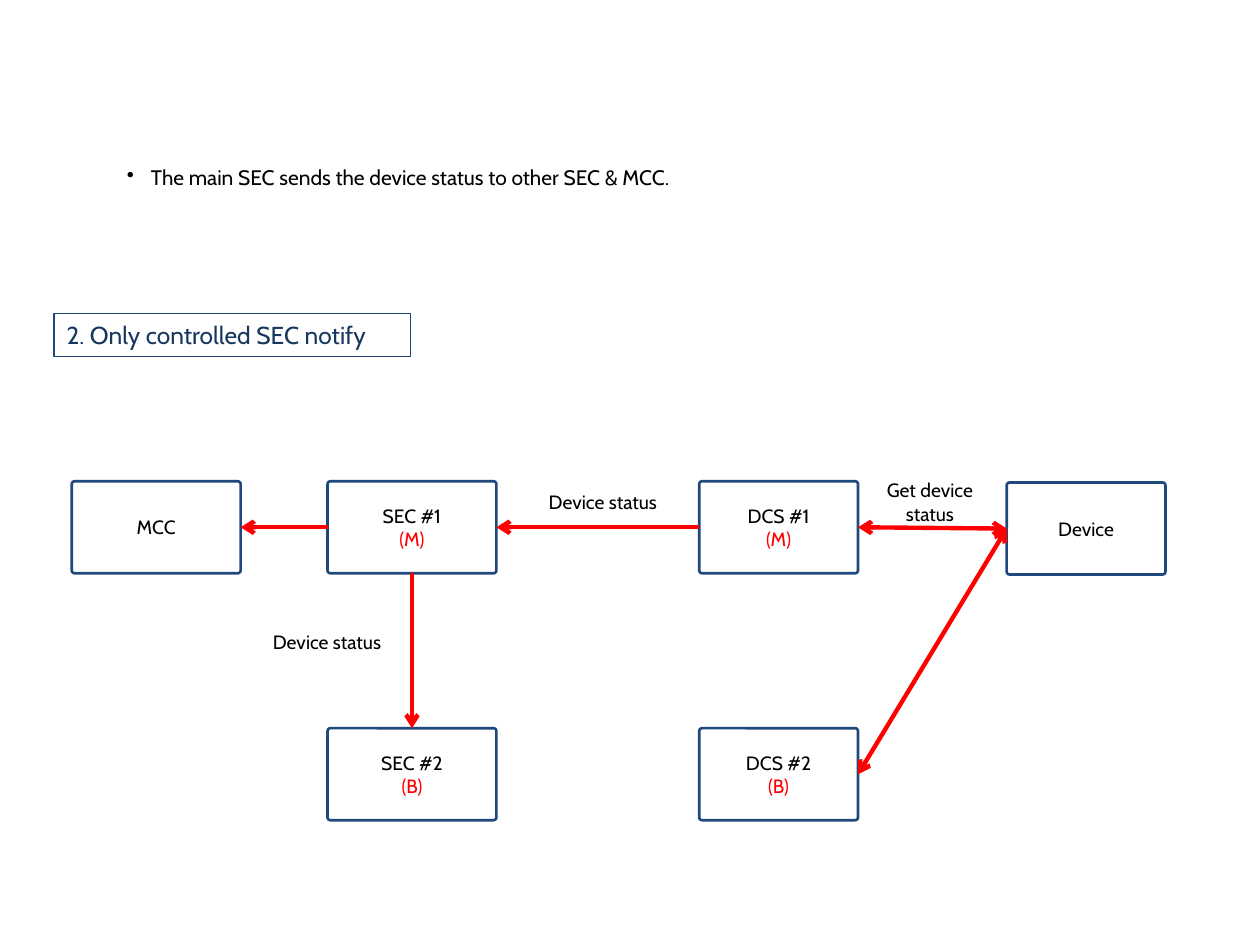
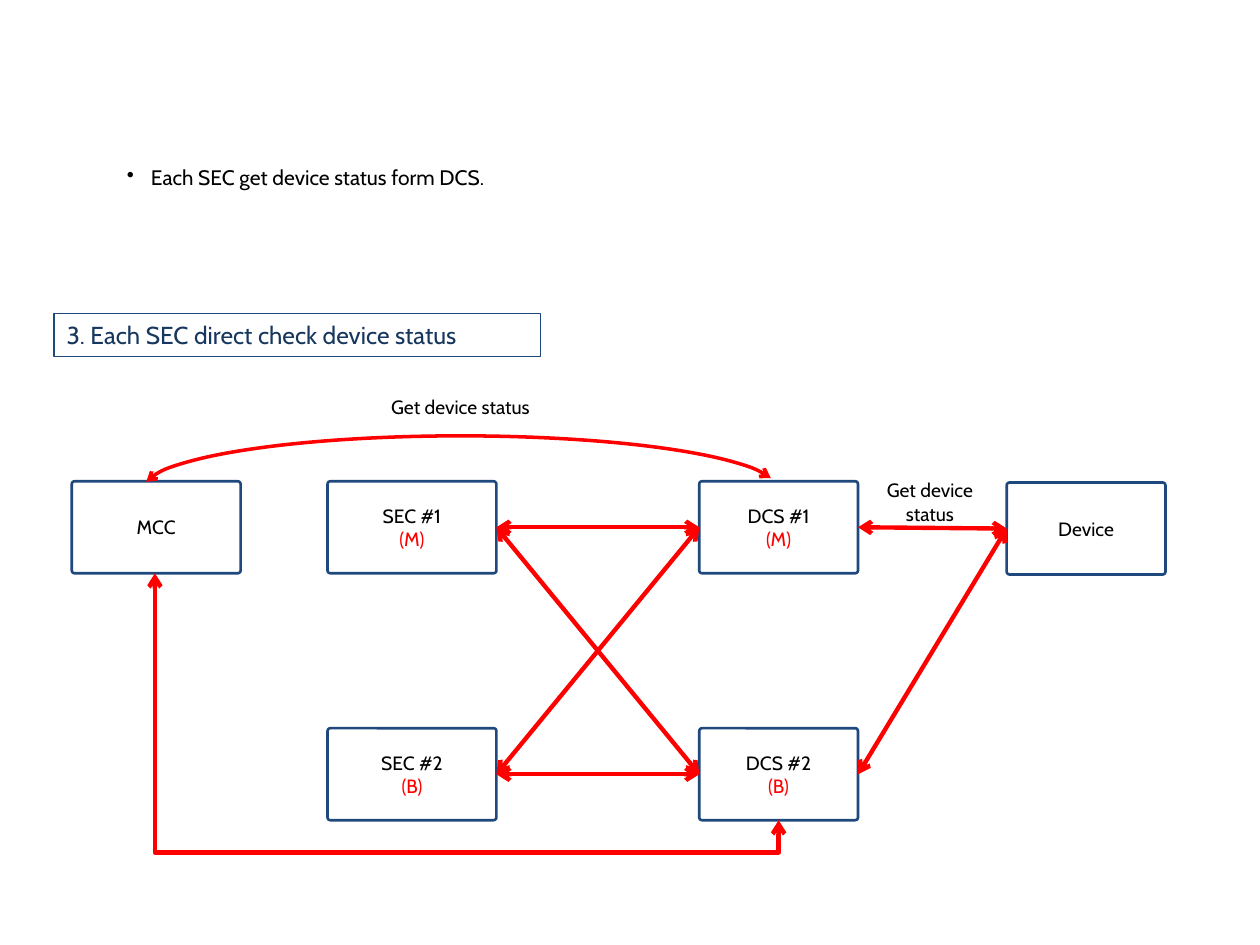
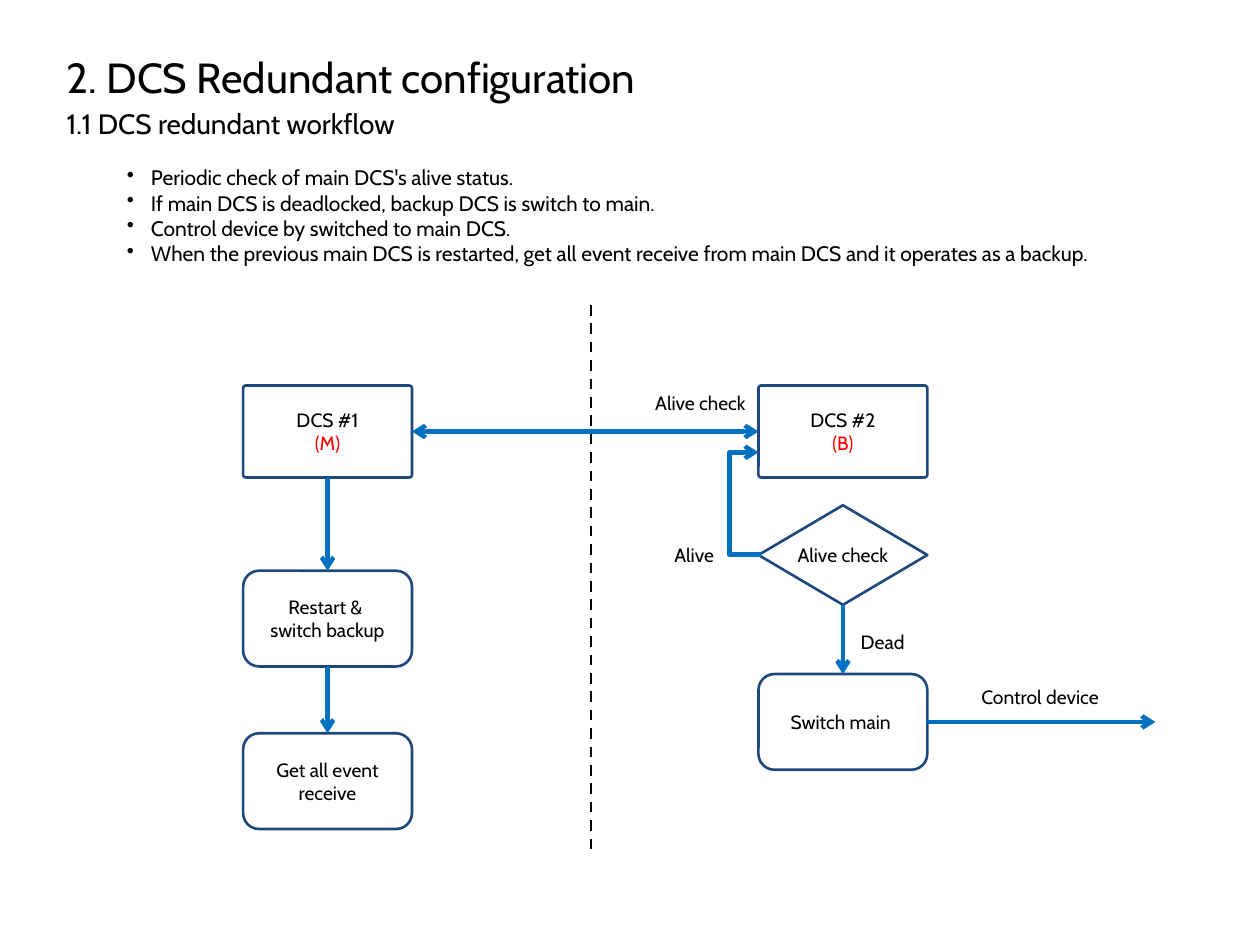
from dataclasses import dataclass
from math import cos, radians, sin

from lxml.etree import SubElement
from pptx import Presentation
from pptx.dml.color import RGBColor
from pptx.enum.dml import MSO_LINE_DASH_STYLE as Dash
from pptx.enum.shapes import MSO_CONNECTOR as Link, MSO_SHAPE as Shape
from pptx.enum.text import MSO_ANCHOR as Anchor, MSO_AUTO_SIZE as AutoSize, PP_ALIGN as Align
from pptx.oxml.ns import qn
from pptx.util import Inches, Pt

TOP, LEFT, BOTTOM, RIGHT = range(4)


@dataclass(frozen=True)
class Theme:
    font: str = "Cabin"
    ink: str = "000000"
    paper: str = "FFFFFF"
    frame: str = "1F497D"
    tag: str = "17375E"
    alert: str = "FF0000"
    flow: str = "0070C0"
    title: int = 24
    subtitle: int = 16
    heading: int = 14
    body: int = 12
    label: int = 11
    frame_line: float = 1.5
    tag_line: float = 0.75
    arc_line: float = 2
    arrow_line: float = 2.5


THEME = Theme()


@dataclass(frozen=True)
class Box:
    left: float
    top: float
    width: float
    height: float

    def inner(self, dx, dy, width, height):
        return Box(self.left + dx, self.top + dy, width, height)

    def point(self, dx, dy):
        return self.left + dx, self.top + dy

    def lengths(self):
        return [Inches(v) for v in (self.left, self.top, self.width, self.height)]


TITLE = Box(0.43, 0.36, 9.06, 0.5)
SUBTITLE = Box(0.43, 0.8, 9.06, 0.37)
NOTES = Box(0.91, 1.26, 8.34, 0.3)
NETWORK = Box(0.57, 3.82, 8.68, 2.69)
WORKFLOW = Box(1.93, 2.41, 7.24, 4.33)


def rgb(value):
    return RGBColor.from_string(value)


def write(shape, text, size=THEME.label, color=THEME.ink, align=Align.LEFT,
          anchor=Anchor.TOP, wrap=True, grow=False, bullet=None):
    frame = shape.text_frame
    frame.word_wrap = wrap
    frame.vertical_anchor = anchor
    if grow:
        frame.auto_size = AutoSize.SHAPE_TO_FIT_TEXT
    for index, line in enumerate(text.split("\n")):
        paragraph = frame.paragraphs[0] if index == 0 else frame.add_paragraph()
        paragraph.alignment = align
        run = paragraph.add_run()
        run.text = line
        run.font.name = THEME.font
        run.font.size = Pt(size)
        run.font.color.rgb = rgb(THEME.alert if line.startswith("(") else color)
        if bullet:
            properties = paragraph._p.get_or_add_pPr()
            properties.set("marL", str(Inches(0.19)))
            properties.set("indent", str(Inches(-0.19)))
            SubElement(properties, qn("a:buChar"), char=bullet)


def add_text(slide, box, text, **style):
    write(slide.shapes.add_textbox(*box.lengths()), text, grow=True, **style)


def add_label(slide, box, text):
    add_text(slide, box, text, align=Align.CENTER, wrap=False)


def add_outline(slide, box, kind, color=THEME.frame, width=THEME.frame_line, fill=None):
    outline = slide.shapes.add_shape(kind, *box.lengths())
    outline.shadow.inherit = False
    if fill:
        outline.fill.solid()
        outline.fill.fore_color.rgb = rgb(fill)
    else:
        outline.fill.background()
    outline.line.color.rgb = rgb(color)
    outline.line.width = Pt(width)
    return outline


def add_node(slide, box, text, kind=Shape.ROUNDED_RECTANGLE, corner=None):
    node = add_outline(slide, box, kind, fill=THEME.paper)
    if corner is not None:
        node.adjustments[0] = corner
    write(node, text, align=Align.CENTER, anchor=Anchor.MIDDLE, wrap=False)
    return node


def add_server(slide, box, text):
    return add_node(slide, box, text, corner=0.03)


def add_arrowheads(line_shape, both):
    outline = line_shape.element.spPr.find(qn("a:ln"))
    for end in ("headEnd", "tailEnd") if both else ("tailEnd",):
        SubElement(outline, qn(f"a:{end}"), type="arrow")


def add_line(slide, start, end, color, width=THEME.arrow_line, kind=Link.STRAIGHT):
    line = slide.shapes.add_connector(kind, *[Inches(v) for v in (*start, *end)])
    line.line.color.rgb = rgb(color)
    line.line.width = Pt(width)
    SubElement(line.element.spPr, qn("a:effectLst"))
    return line


def join(slide, source, source_side, target, target_side, color, both=False):
    arrow = add_line(slide, (0, 0), (1, 1), color)
    arrow.begin_connect(source, source_side)
    arrow.end_connect(target, target_side)
    add_arrowheads(arrow, both)


def add_elbow(slide, start, end, turn, bend, color, both=False):
    middle = [(a + b) / 2 for a, b in zip(start, end)]
    c, s = cos(radians(turn)), sin(radians(turn))

    def unturned(point):
        x, y = point[0] - middle[0], point[1] - middle[1]
        return middle[0] + x * c + y * s, middle[1] - x * s + y * c

    elbow = add_line(slide, unturned(start), unturned(end), color, kind=Link.ELBOW)
    properties = elbow.element.spPr
    properties.find(qn("a:xfrm")).set("rot", str(turn * 60000))
    guides = properties.find(qn("a:prstGeom")).find(qn("a:avLst"))
    SubElement(guides, qn("a:gd"), name="adj1", fmla=f"val {round(bend * 100000)}")
    add_arrowheads(elbow, both)


def add_notes(slide, box, text):
    add_text(slide, box, text, size=THEME.body, bullet="•")


def add_tag(slide, width, text):
    tag = add_outline(slide, Box(0.43, 2.49, width, 0.34), Shape.RECTANGLE, width=THEME.tag_line)
    write(tag, text, size=THEME.heading, color=THEME.tag, grow=True)


def add_network(slide, box):
    layout = {
        "MCC": (0, 0, 1.34),
        "SEC #1\n(M)": (2.03, 0, 1.34),
        "SEC #2\n(B)": (2.03, 1.96, 1.34),
        "DCS #1\n(M)": (4.98, 0, 1.26),
        "DCS #2\n(B)": (4.98, 1.96, 1.26),
        "Device": (7.42, 0.01, 1.26),
    }
    nodes = {
        text.split("\n")[0]: add_server(slide, box.inner(dx, dy, width, 0.73), text)
        for text, (dx, dy, width) in layout.items()
    }
    add_label(slide, box.inner(6.35, -0.07, 0.92, 0.47), "Get device\nstatus")
    for dcs in ("DCS #1", "DCS #2"):
        join(slide, nodes["Device"], LEFT, nodes[dcs], RIGHT, THEME.alert, both=True)
    return nodes


def build_notify(slide, box):
    add_notes(slide, NOTES, "The main SEC sends the device status to other SEC & MCC.")
    add_tag(slide, 2.83, "2. Only controlled SEC notify")
    nodes = add_network(slide, box)
    for dx, dy in ((3.66, 0.02), (1.47, 1.13)):
        add_label(slide, box.inner(dx, dy, 1.11, 0.29), "Device status")
    for source, source_side, target, target_side in (
        ("DCS #1", LEFT, "SEC #1", RIGHT),
        ("SEC #1", BOTTOM, "SEC #2", TOP),
        ("SEC #1", LEFT, "MCC", RIGHT),
    ):
        join(slide, nodes[source], source_side, nodes[target], target_side, THEME.alert)


def build_direct_check(slide, box):
    add_notes(slide, NOTES, "Each SEC get device status form DCS.")
    add_tag(slide, 3.86, "3. Each SEC direct check device status")
    nodes = add_network(slide, box)
    add_label(slide, box.inner(2.4, -0.73, 1.37, 0.29), "Get device status")
    for sec in ("SEC #1", "SEC #2"):
        for dcs in ("DCS #1", "DCS #2"):
            join(slide, nodes[sec], RIGHT, nodes[dcs], LEFT, THEME.alert, both=True)
    arc = add_outline(slide, box.inner(0.57, -0.36, 5.03, 0.84), Shape.ARC,
                      color=THEME.alert, width=THEME.arc_line)
    arc.adjustments[0] = 108.75
    arc.adjustments[1] = 214.82
    add_arrowheads(arc, both=True)
    add_elbow(slide, box.point(5.61, 2.69), box.point(0.66, 0.73), 90, -0.13,
              THEME.alert, both=True)


def build_workflow(slide, box):
    divider = add_line(slide, box.point(2.76, box.height), box.point(2.76, 0),
                       THEME.ink, THEME.frame_line)
    divider.line.dash_style = Dash.DASH
    add_text(slide, TITLE, "2. DCS Redundant configuration", size=THEME.title)
    add_text(slide, SUBTITLE, "1.1 DCS redundant workflow", size=THEME.subtitle)
    add_notes(slide, NOTES, "\n".join((
        "Periodic check of main DCS's alive status.",
        "If main DCS is deadlocked, backup DCS is switch to main.",
        "Control device by switched to main DCS.",
        "When the previous main DCS is restarted, get all event receive from main DCS "
        "and it operates as a backup.",
    )))

    width, step_height, backup_left = 1.34, 0.76, 4.09
    main = add_server(slide, box.inner(0, 0.65, width, 0.73), "DCS #1\n(M)")
    restart = add_node(slide, box.inner(0, 2.12, width, step_height), "Restart & \nswitch backup")
    receive = add_node(slide, box.inner(0, 3.41, width, step_height), "Get all event\nreceive")
    backup = add_server(slide, box.inner(backup_left, 0.65, width, 0.73), "DCS #2\n(B)")
    check = add_node(slide, box.inner(backup_left, 1.6, width, 0.79), "Alive check", Shape.DIAMOND)
    switch = add_node(slide, box.inner(backup_left, 2.94, width, step_height), "Switch main ")

    join(slide, main, RIGHT, backup, LEFT, THEME.flow, both=True)
    for source, target in ((main, restart), (restart, receive), (check, switch)):
        join(slide, source, BOTTOM, target, TOP, THEME.flow)
    add_elbow(slide, box.point(4.11, 1.99), box.point(backup_left, 1.18), 180, 12.5, THEME.flow)
    control = add_line(slide, box.point(5.43, 3.32), box.point(box.width, 3.32), THEME.flow)
    control.begin_connect(switch, RIGHT)
    add_arrowheads(control, both=False)

    for text, dx, dy, label_width in (
        ("Alive", 3.32, 1.85, 0.52),
        ("Alive check", 3.15, 0.65, 0.96),
        ("Dead", 4.8, 2.54, 0.55),
        ("Control device", 5.74, 2.98, 1.17),
    ):
        add_label(slide, box.inner(dx, dy, label_width, 0.29), text)


def main():
    deck = Presentation()
    deck.slide_width, deck.slide_height = Inches(10), Inches(7.5)
    for build, box in (
        (build_notify, NETWORK),
        (build_direct_check, NETWORK),
        (build_workflow, WORKFLOW),
    ):
        build(deck.slides.add_slide(deck.slide_layouts[6]), box)
    deck.save("out.pptx")


if __name__ == "__main__":
    main()
